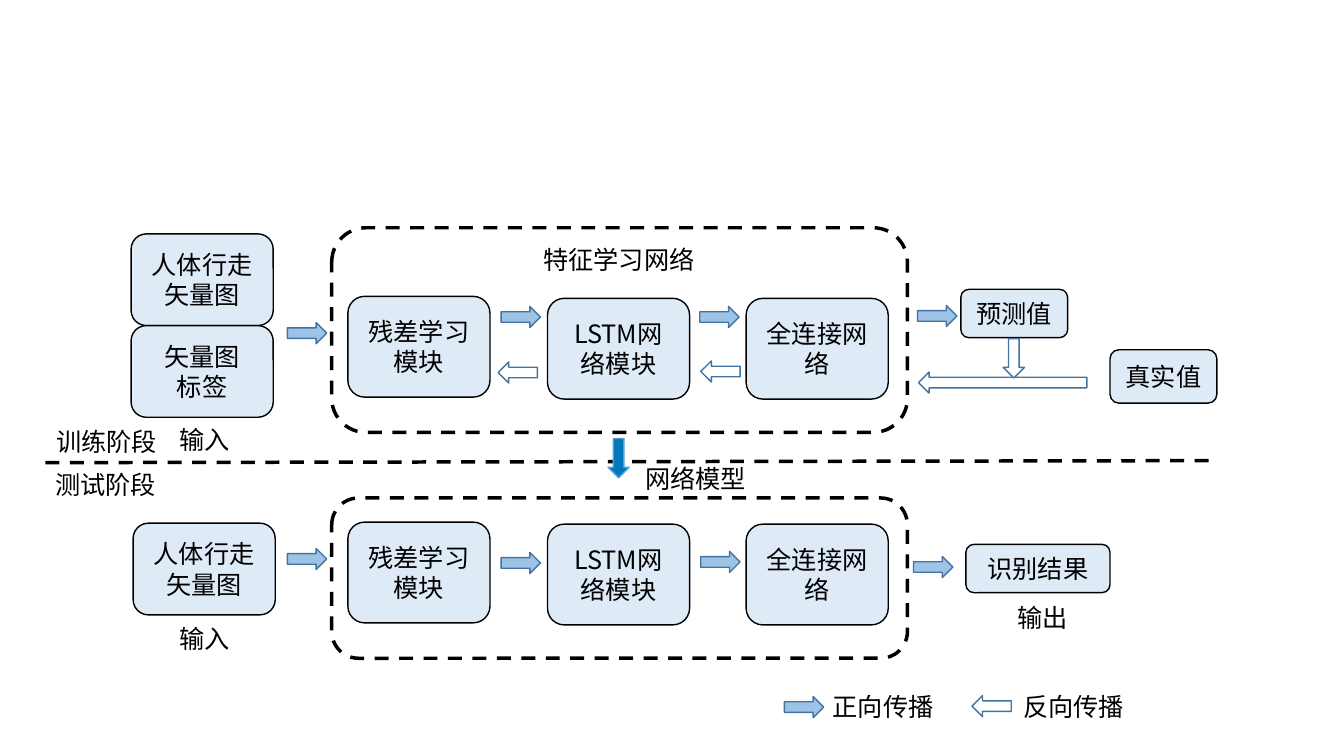
from lxml import etree
from pptx import Presentation
from pptx.dml.color import RGBColor
from pptx.enum.dml import MSO_LINE
from pptx.enum.shapes import MSO_CONNECTOR, MSO_SHAPE
from pptx.enum.text import MSO_ANCHOR, MSO_AUTO_SIZE, PP_ALIGN
from pptx.oxml.ns import qn
from pptx.util import Inches, Pt

ROUNDED = MSO_SHAPE.ROUNDED_RECTANGLE
ARROW = MSO_SHAPE.RIGHT_ARROW
STRAIGHT = MSO_CONNECTOR.STRAIGHT
DASH = MSO_LINE.DASH
CENTER = PP_ALIGN.CENTER
MIDDLE = MSO_ANCHOR.MIDDLE
GROW = MSO_AUTO_SIZE.SHAPE_TO_FIT_TEXT

FONT = "Noto Sans CJK SC"
BLACK = RGBColor(0x00, 0x00, 0x00)
WHITE = RGBColor(0xFF, 0xFF, 0xFF)
PALE_BLUE = RGBColor(0xDE, 0xEB, 0xF7)
FORWARD_BLUE = RGBColor(0x9D, 0xC3, 0xE6)
ARROW_EDGE = RGBColor(0x43, 0x73, 0x9E)
MODEL_BLUE = RGBColor(0x00, 0x76, 0xBB)
MODEL_EDGE = RGBColor(0x5B, 0x9B, 0xD5)

MODULES = [
    ("残差学习模块", 3.45, 0),
    ("LSTM网络模块", 5.43, 0.02),
    ("全连接网络", 7.4, 0.02),
]


def write(frame, text, align=None):
    frame.text = text
    for para in frame.paragraphs:
        para.alignment = align
        for span in para.runs:
            span.font.size = Pt(18)
            span.font.name = FONT
            span.font.color.rgb = BLACK
            east_asian = etree.SubElement(span.font._element, qn("a:ea"))
            east_asian.set("typeface", FONT)


def add_figure(page, kind, left, top, width, height, fill, edge, weight=1):
    figure = page.shapes.add_shape(
        kind, Inches(left), Inches(top), Inches(width), Inches(height))
    figure.shadow.inherit = False
    figure.fill.solid()
    figure.fill.fore_color.rgb = fill
    figure.line.color.rgb = edge
    figure.line.width = Pt(weight)
    return figure


def add_block(page, text, left, top, width=1.41, height=1):
    block = add_figure(page, ROUNDED, left, top, width, height, PALE_BLUE, BLACK)
    block.text_frame.word_wrap = True
    block.text_frame.vertical_anchor = MIDDLE
    write(block.text_frame, text, CENTER)


def add_network(page, top, height, modules_top):
    border = add_figure(page, ROUNDED, 3.29, top, 5.71, height, WHITE, BLACK, 2.5)
    border.line.dash_style = DASH
    for text, left, drop in MODULES:
        add_block(page, text, left, modules_top + drop)


def add_arrow(page, left, top, width=0.39, turn=0, fill=WHITE, edge=ARROW_EDGE):
    arrow = add_figure(page, ARROW, left, top, width, 0.21, fill, edge)
    arrow.rotation = turn


def add_label(page, text, left, top, width, wrap=False):
    box = page.shapes.add_textbox(
        Inches(left), Inches(top), Inches(width), Inches(0.4))
    box.text_frame.word_wrap = wrap
    box.text_frame.auto_size = GROW
    write(box.text_frame, text)


def add_divider(page):
    divider = page.shapes.add_connector(
        STRAIGHT, Inches(0.45), Inches(4.59), Inches(12.07), Inches(4.57))
    divider.line.color.rgb = BLACK
    divider.line.width = Pt(2.5)
    divider.line.dash_style = DASH
    etree.SubElement(divider._element.spPr, qn("a:effectLst"))


def add_training(page):
    add_block(page, "人体行走矢量图", 1.3, 2.32, height=0.91)
    add_block(page, "矢量图\n标签", 1.3, 3.23, height=0.91)
    add_label(page, "输入", 1.68, 4.16, 0.88, wrap=True)
    add_network(page, 2.26, 2.03, 2.94)
    add_label(page, "特征学习网络", 5.29, 2.37, 1.72)
    for left, top in [(2.85, 3.2), (4.97, 3.04), (6.94, 3.04), (9.1, 3.03)]:
        add_arrow(page, left, top, fill=FORWARD_BLUE)
    add_block(page, "预测值", 9.53, 2.87, 1.06, 0.48)
    add_block(page, "真实值", 11.01, 3.47, 1.06, 0.53)
    for left, top, width in [(4.94, 3.59, 0.39), (6.95, 3.58, 0.39), (9.11, 3.69, 1.67)]:
        add_arrow(page, left, top, width, turn=180)
    add_arrow(page, 9.86, 3.45, turn=90)


def add_testing(page):
    add_block(page, "人体行走矢量图", 1.32, 5.19, height=0.91)
    add_label(page, "输入", 1.68, 6.13, 0.88, wrap=True)
    add_network(page, 4.94, 1.59, 5.18)
    for left, top in [(2.85, 5.44), (4.97, 5.48), (6.95, 5.47), (9.06, 5.52)]:
        add_arrow(page, left, top, fill=FORWARD_BLUE)
    add_block(page, "识别结果", 9.58, 5.4, 1.43, 0.48)
    add_label(page, "输出", 9.99, 5.93, 0.88, wrap=True)


def add_legend(page):
    add_arrow(page, 7.78, 6.91, fill=FORWARD_BLUE)
    add_label(page, "正向传播", 8.16, 6.81, 1.67, wrap=True)
    add_arrow(page, 9.64, 6.9, turn=180)
    add_label(page, "反向传播", 10.05, 6.81, 1.67, wrap=True)


def main():
    deck = Presentation()
    deck.slide_width = Inches(13.33)
    deck.slide_height = Inches(7.5)
    page = deck.slides.add_slide(deck.slide_layouts[6])
    add_training(page)
    add_divider(page)
    add_label(page, "训练阶段", 0.46, 4.18, 1.21)
    add_label(page, "测试阶段", 0.45, 4.61, 1.21)
    add_testing(page)
    add_arrow(page, 5.94, 4.44, turn=90, fill=MODEL_BLUE, edge=MODEL_EDGE)
    add_label(page, "网络模型", 6.3, 4.55, 1.21)
    add_legend(page)
    deck.save("out.pptx")


if __name__ == "__main__":
    main()
